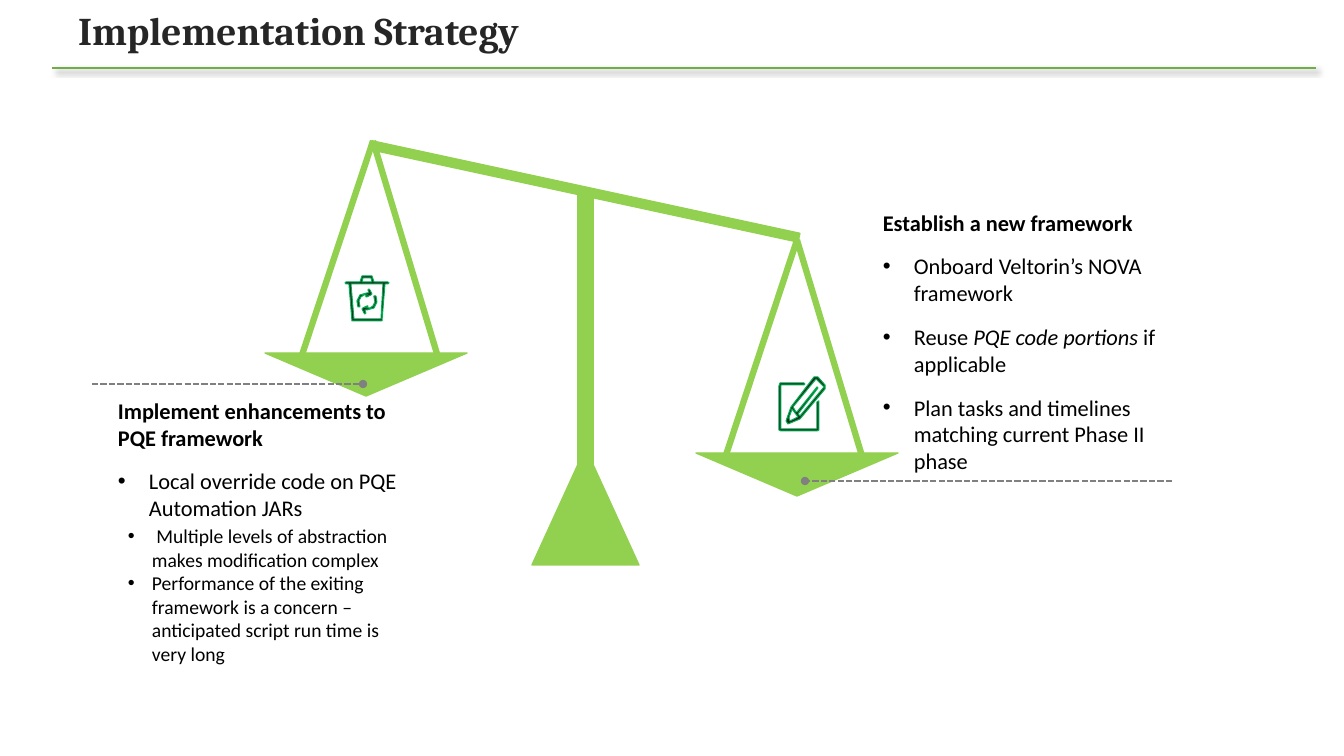
from typing import NamedTuple

from lxml import etree
from pptx import Presentation
from pptx.dml.color import RGBColor
from pptx.enum.dml import MSO_LINE
from pptx.enum.shapes import MSO_CONNECTOR, MSO_SHAPE
from pptx.enum.text import MSO_ANCHOR, MSO_AUTO_SIZE, PP_ALIGN
from pptx.oxml.ns import qn
from pptx.util import Emu, Pt

RECTANGLE = MSO_SHAPE.RECTANGLE
TRIANGLE = MSO_SHAPE.ISOSCELES_TRIANGLE
STRAIGHT = MSO_CONNECTOR.STRAIGHT
SQUARE_DASH = MSO_LINE.SQUARE_DOT
MIDDLE = MSO_ANCHOR.MIDDLE
LEFT = PP_ALIGN.LEFT
GROW = MSO_AUTO_SIZE.SHAPE_TO_FIT_TEXT

EMU_PER_PIXEL = 914400 / 100.8
COLORS = {
    "white": "FFFFFF", "title": "262626", "rule": "70AD47", "scale": "92D050",
    "callout": "808080", "text": "000000", "icon": "231F20", "icon_line": "00B050",
}

Point = tuple[int, int]
Contour = list[Point]


class Part(NamedTuple):
    kind: int
    left: int
    top: int
    width: int
    height: int
    rotation: float = 0


class Line(NamedTuple):
    start: Point
    end: Point
    color: str
    weight: float
    callout: bool = False
    shadow: bool = False


class Run(NamedTuple):
    text: str
    bold: bool = False
    italic: bool = False


class Item(NamedTuple):
    runs: list[Run]
    indent: int = 0
    hanging: int = 0


class Block(NamedTuple):
    left: int
    top: int
    width: int
    height: int
    size: int
    space_after: int
    items: list[Item]


def px(value: float) -> Emu:
    return Emu(round(value * EMU_PER_PIXEL))


def rgb(name: str) -> RGBColor:
    return RGBColor.from_string(COLORS[name])


def paint(shape, fill: str, line: str, weight: float) -> None:
    shape.shadow.inherit = False
    shape.fill.solid()
    shape.fill.fore_color.rgb = rgb(fill)
    shape.line.color.rgb = rgb(line)
    shape.line.width = Pt(weight)


def draw_part(slide, part: Part) -> None:
    shape = slide.shapes.add_shape(part.kind, px(part.left), px(part.top), px(part.width), px(part.height))
    shape.rotation = part.rotation
    paint(shape, "scale", "scale", 1)


def draw_line(slide, line: Line) -> None:
    connector = slide.shapes.add_connector(STRAIGHT, *map(px, line.start + line.end))
    connector.line.color.rgb = rgb(line.color)
    connector.line.width = Pt(line.weight)
    properties = connector._element.spPr
    if line.callout:
        connector.line.dash_style = SQUARE_DASH
        etree.SubElement(properties.find(qn("a:ln")), qn("a:tailEnd"), type="oval")
    effects = etree.SubElement(properties, qn("a:effectLst"))
    if line.shadow:
        shadow = etree.SubElement(effects, qn("a:outerShdw"), blurRad=str(Pt(4)), dist=str(Pt(3)),
                                  dir="2700000", algn="tl", rotWithShape="0")
        color = etree.SubElement(shadow, qn("a:srgbClr"), val=COLORS["text"])
        etree.SubElement(color, qn("a:alpha"), val="40000")


def draw_outline(slide, contours: list[Contour]) -> None:
    builder = slide.shapes.build_freeform(*contours[0][0], scale=EMU_PER_PIXEL)
    for index, contour in enumerate(contours):
        if index:
            builder.move_to(*contour[0])
        builder.add_line_segments(contour[1:], close=True)
    paint(builder.convert_to_shape(), "icon", "icon_line", 0.75)


def add_run(paragraph, content: Run, font: str, size: int, color: str) -> None:
    run = paragraph.add_run()
    run.text = content.text
    run.font.name = font
    run.font.size = Pt(size)
    run.font.bold = content.bold
    run.font.italic = content.italic
    run.font.color.rgb = rgb(color)


def draw_title(slide, text: str) -> None:
    box = slide.shapes.add_textbox(px(8), px(6), px(1241), px(53))
    box.fill.solid()
    box.fill.fore_color.rgb = rgb("white")
    frame = box.text_frame
    frame.word_wrap = True
    frame.vertical_anchor = MIDDLE
    frame.margin_left = px(70)
    paragraph = frame.paragraphs[0]
    paragraph.line_spacing = 0.9
    add_run(paragraph, Run(text, bold=True), "Cambria", 28, "title")


def draw_block(slide, block: Block) -> None:
    box = slide.shapes.add_textbox(px(block.left), px(block.top), px(block.width), px(block.height))
    frame = box.text_frame
    frame.word_wrap = True
    frame.auto_size = GROW
    for index, item in enumerate(block.items):
        paragraph = frame.add_paragraph() if index else frame.paragraphs[0]
        paragraph.alignment = LEFT
        paragraph.space_after = Pt(block.space_after)
        if item.hanging:
            properties = paragraph._p.get_or_add_pPr()
            properties.set("marL", str(px(item.indent)))
            properties.set("indent", str(-px(item.hanging)))
            etree.SubElement(properties, qn("a:buFont"), typeface="Arial")
            etree.SubElement(properties, qn("a:buChar"), char="•")
        for run in item.runs:
            add_run(paragraph, run, "Calibri", block.size, "text")


def heading(text: str) -> Item:
    return Item([Run(text, bold=True)])


def bullet(*runs: Run) -> Item:
    return Item(list(runs), 31, 31)


def detail(text: str) -> Item:
    return Item([Run(text)], 82, 24)


POST_AND_BEAM = [
    Part(TRIANGLE, 532, 448, 107, 117),
    Part(RECTANGLE, 578, 190, 15, 338),
    Part(RECTANGLE, 366, 187, 438, 9, 12.2),
]
HANGERS = [
    Line(top, end, "scale", 4.5)
    for top, ends in [((797, 240), [(726, 455), (862, 456)]), ((373, 141), [(302, 355), (438, 357)])]
    for end in ends
]
PANS = [Part(TRIANGLE, left, top, 202, 43, 180) for left, top in [(265, 353), (696, 453)]]
CALLOUTS = [
    Line((92, 384), (363, 384), "callout", 1.5, callout=True),
    Line((1172, 481), (805, 481), "callout", 1.5, callout=True),
]

PENCIL = [
    [(825, 385), (818, 377), (814, 377), (791, 407), (786, 421), (788, 424), (800, 419), (825, 389)],
    [(792, 409), (798, 417), (790, 421), (789, 418)],
    [(824, 387), (800, 416), (798, 414), (818, 388), (817, 387), (797, 412), (796, 412), (793, 407), (816, 379)],
]
PAPER = [[(819, 401), (817, 402), (817, 429), (781, 429), (781, 385), (804, 385), (805, 384), (804, 383),
          (780, 383), (779, 386), (779, 430), (781, 431), (817, 431), (819, 430)]]
BIN = [
    [(388, 282), (374, 282), (372, 276), (362, 276), (360, 282), (346, 282), (345, 283), (346, 284),
     (349, 284), (352, 321), (382, 321), (385, 284), (388, 284), (389, 283)],
    [(363, 278), (371, 278), (372, 282), (362, 282)],
    [(381, 319), (354, 319), (351, 284), (383, 284)],
]
LOWER_ARROW = [(366, 308), (368, 308), (368, 306), (367, 306), (363, 308), (362, 309), (364, 313), (365, 314),
               (366, 313), (365, 310), (367, 310), (374, 308), (377, 302), (376, 296), (374, 296), (374, 297),
               (375, 302), (373, 306), (370, 308)]
UPPER_ARROW = [(734 - x, 603 - y) for x, y in LOWER_ARROW]
ICONS = [PENCIL, PAPER, BIN, [LOWER_ARROW], [UPPER_ARROW]]

BLOCKS = [
    Block(108, 392, 331, 179, 16, 12, [
        heading("Implement enhancements to PQE framework"),
        bullet(Run("Local override code on PQE Automation JARs")),
    ]),
    Block(873, 204, 300, 278, 16, 12, [
        heading("Establish a new framework"),
        bullet(Run("Onboard Veltorin’s NOVA framework")),
        bullet(Run("Reuse "), Run("PQE code portions", italic=True), Run(" if applicable")),
        bullet(Run("Plan tasks and timelines matching current Phase II phase")),
    ]),
    Block(60, 519, 353, 152, 14, 0, [
        detail(" Multiple levels of abstraction makes modification complex"),
        detail("Performance of the exiting framework is a concern – anticipated script run time is very long"),
    ]),
]

presentation = Presentation()
presentation.slide_width = px(1344)
presentation.slide_height = px(756)
slide = presentation.slides.add_slide(presentation.slide_layouts[6])

draw_title(slide, "Implementation Strategy")
draw_line(slide, Line((52, 68), (1316, 68), "rule", 1.5, shadow=True))
for part in POST_AND_BEAM:
    draw_part(slide, part)
for hanger in HANGERS:
    draw_line(slide, hanger)
for pan in PANS:
    draw_part(slide, pan)
for callout in CALLOUTS:
    draw_line(slide, callout)
for icon in ICONS:
    draw_outline(slide, icon)
for block in BLOCKS:
    draw_block(slide, block)

presentation.save("out.pptx")
